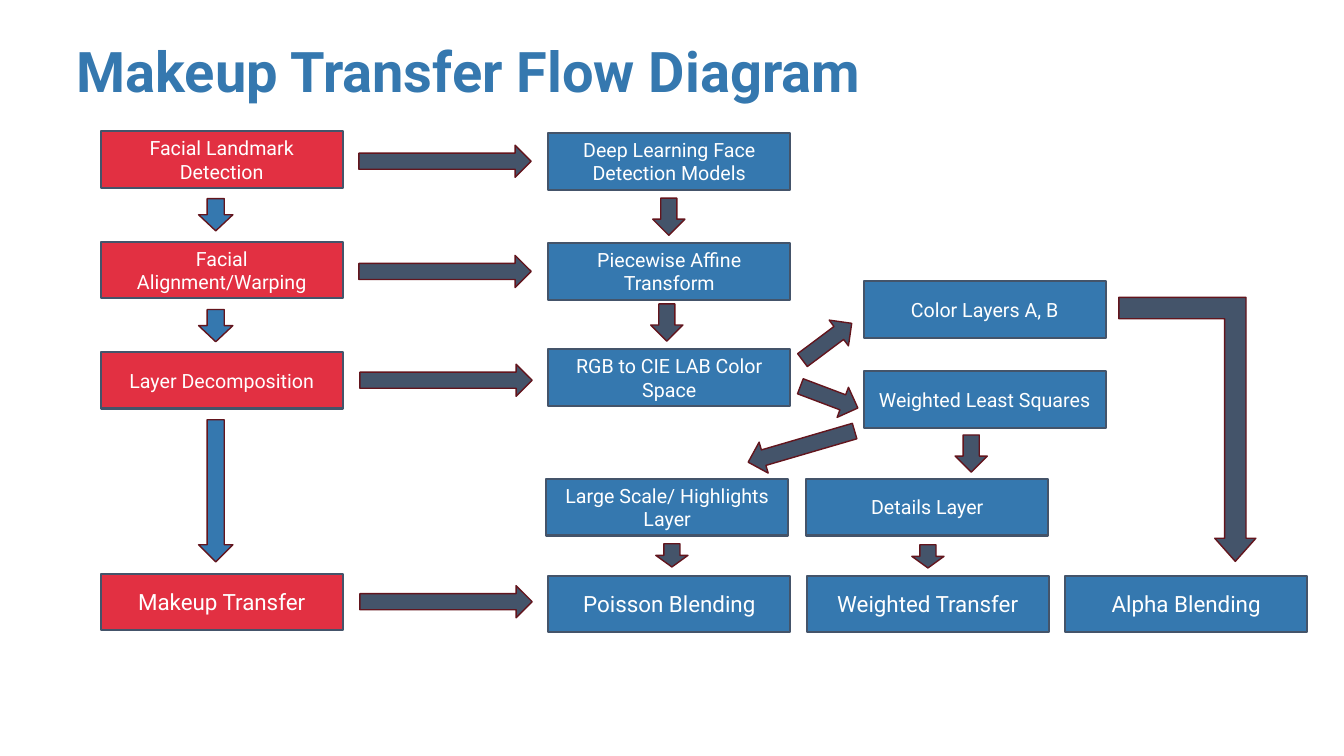
from dataclasses import dataclass

from pptx import Presentation
from pptx.dml.color import RGBColor
from pptx.enum.shapes import MSO_SHAPE as Shp
from pptx.enum.text import MSO_ANCHOR as Anchor, MSO_AUTO_SIZE as AutoSize, PP_ALIGN as Align
from pptx.shapes.autoshape import Shape
from pptx.slide import Slide
from pptx.text.text import TextFrame
from pptx.util import Pt

BLUE, RED, SLATE, MAROON, WHITE = "3578AF", "E23042", "44546A", "63151D", "FFFFFF"
BOX_W, BOX_H = 172.8, 40.5
STAGE_X, METHOD_X, LAYER_X = 72, 391.7, 617
RESULT_X, RESULT_GAP, RESULT_Y = 391.7, 184.6, 411.1


@dataclass
class Box:
    text: str
    x: float
    y: float
    fill: str = BLUE
    size: int = 14


@dataclass
class Arrow:
    """A block arrow given by its centre, length and clockwise angle."""
    cx: float
    cy: float
    length: float
    angle: float = 90
    fill: str = SLATE
    thick: float = 23


BOXES = [
    Box("Facial Landmark Detection", STAGE_X, 93.6, RED),
    Box("Facial Alignment/Warping", STAGE_X, 172.6, RED),
    Box("Layer Decomposition", STAGE_X, 251.3, RED),
    Box("Makeup Transfer", STAGE_X, 409.7, RED, 16),
    Box("Deep Learning Face Detection Models", METHOD_X, 95, BLUE),
    Box("Piecewise Affine Transform", METHOD_X, 173.5),
    Box("RGB to CIE LAB Color Space", METHOD_X, 249.3),
    Box("Color Layers A, B", LAYER_X, 200.9),
    Box("Weighted Least Squares", LAYER_X, 265),
    Box("Large Scale/ Highlights Layer", 390.2, 342),
    Box("Details Layer", 576, 342),
]
BOXES += [
    Box(text, RESULT_X + i * RESULT_GAP, RESULT_Y, size=16)
    for i, text in enumerate(["Poisson Blending", "Weighted Transfer", "Alpha Blending"])
]

ARROWS = [
    Arrow(154.1, cy, length, fill=BLUE, thick=24.5)
    for cy, length in [(153.4, 23), (232.6, 23), (350.6, 101.5)]
]
ARROWS += [
    Arrow(cx, cy, 123.1, 0)
    for cx, cy in [(317.9, 115.2), (317.9, 193.9), (318.6, 271.6), (318.6, 429.8)]
]
ARROWS += [
    Arrow(477.7, 154.8, 26.6),
    Arrow(476.3, 230.4, 26.6),
    Arrow(693.7, 324, 26.6),
    Arrow(479.9, 396.7, 16.6),
    Arrow(662.8, 397.4, 16.6),
    Arrow(590.8, 244.1, 43.9, 323.2),
    Arrow(592.2, 283.7, 43.9, 20.7),
    Arrow(572.4, 319, 79.2, 163.7),
]


def rgb(value: str) -> RGBColor:
    return RGBColor.from_string(value)


def add_block(s: Slide, kind: Shp, x: float, y: float, w: float, h: float,
              fill: str, line: str, line_w: float) -> Shape:
    sp = s.shapes.add_shape(kind, Pt(x), Pt(y), Pt(w), Pt(h))
    sp.shadow.inherit = False
    sp.fill.solid()
    sp.fill.fore_color.rgb = rgb(fill)
    sp.line.color.rgb = rgb(line)
    sp.line.width = Pt(line_w)
    return sp


def write(tf: TextFrame, text: str, size: float, color: str, align: Align,
          bold: bool = False) -> None:
    tf.word_wrap = True
    tf.vertical_anchor = Anchor.MIDDLE
    p = tf.paragraphs[0]
    p.alignment = align
    r = p.add_run()
    r.text = text
    r.font.name = "Roboto"
    r.font.size = Pt(size)
    r.font.bold = bold
    r.font.color.rgb = rgb(color)


def add_title(s: Slide, text: str) -> None:
    title = s.shapes.title
    title.left, title.top, title.width, title.height = Pt(47.5), Pt(27.4), Pt(833.8), Pt(51.1)
    tf = title.text_frame
    tf.auto_size = AutoSize.NONE
    write(tf, text, 40, BLUE, Align.LEFT, bold=True)
    tf.paragraphs[0].line_spacing = 0.9


def add_box(s: Slide, box: Box) -> None:
    sp = add_block(s, Shp.RECTANGLE, box.x, box.y, BOX_W, BOX_H, box.fill, SLATE, 1.5)
    write(sp.text_frame, box.text, box.size, WHITE, Align.CENTER)


def add_arrow(s: Slide, a: Arrow) -> None:
    sp = add_block(s, Shp.RIGHT_ARROW, a.cx - a.length / 2, a.cy - a.thick / 2,
                   a.length, a.thick, a.fill, MAROON, 1)
    sp.rotation = a.angle


def add_bent_arrow(s: Slide) -> None:
    """Lead from the color layers right and down to alpha blending."""
    sp = add_block(s, Shp.BENT_UP_ARROW, 799.2, 212.4, 97.9, 188.6, SLATE, MAROON, 1)
    for i, value in enumerate([0.156, 0.15, 0.169]):
        sp.adjustments[i] = value
    sp.rotation = 180
    sp.element.spPr.xfrm.set("flipH", "1")


def main() -> None:
    prs = Presentation()
    prs.slide_width, prs.slide_height = Pt(960), Pt(540)
    s = prs.slides.add_slide(prs.slide_layouts[5])
    add_title(s, "Makeup Transfer Flow Diagram")
    for box in BOXES:
        add_box(s, box)
    for arrow in ARROWS:
        add_arrow(s, arrow)
    add_bent_arrow(s)
    prs.save("out.pptx")


if __name__ == "__main__":
    main()
